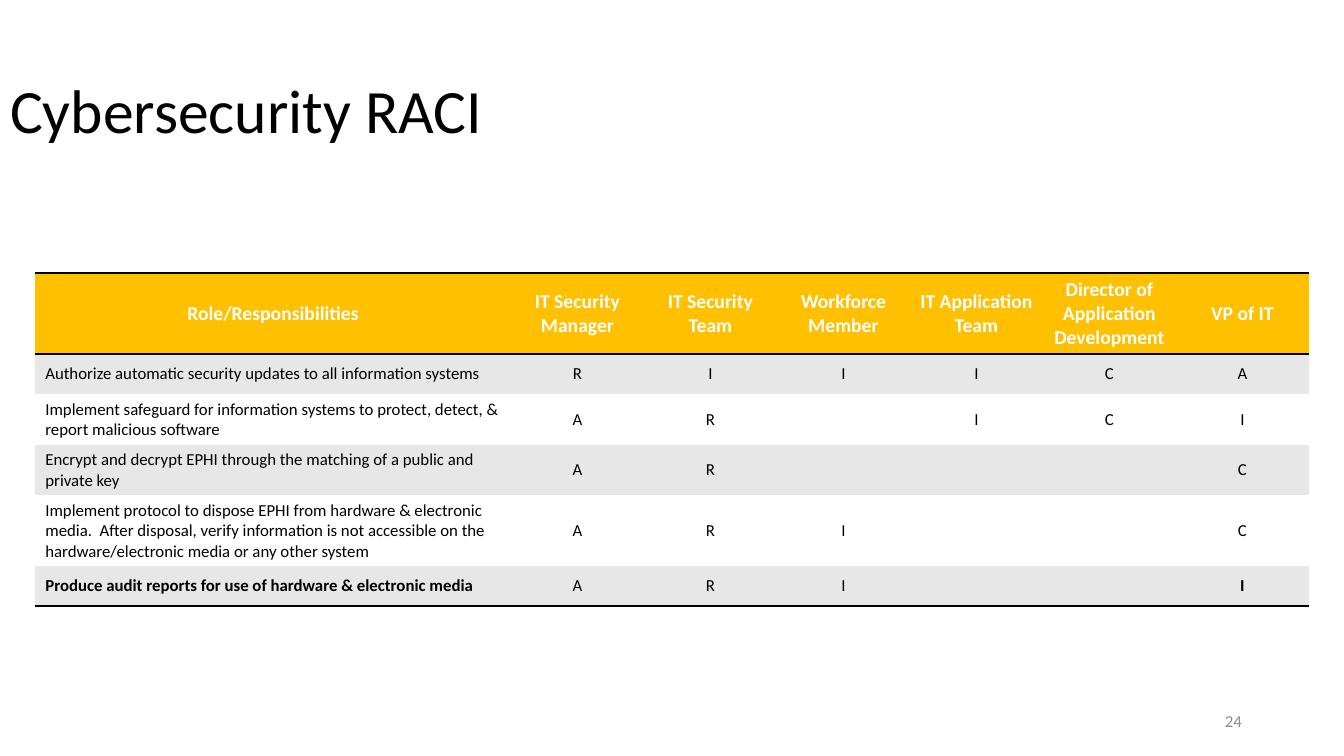
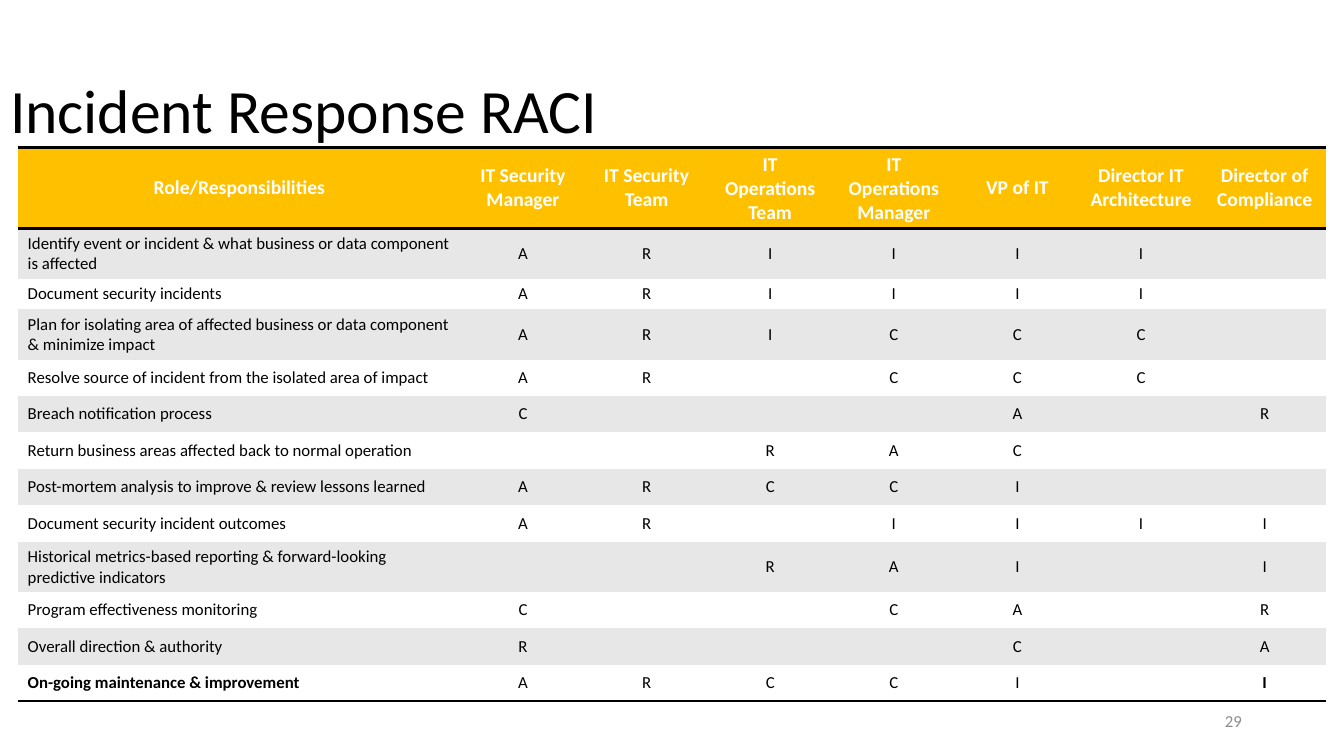
from dataclasses import dataclass

from lxml import etree
from pptx import Presentation
from pptx.dml.color import RGBColor
from pptx.enum import text as styles
from pptx.oxml import ns
from pptx.util import Pt


@dataclass(frozen=True)
class Theme:
    """Colours, type sizes and shared boxes of the deck."""
    font: str = "Calibri"
    ink: str = "000000"
    header_ink: str = "FFFFFF"
    header_fill: str = "FFC000"
    bands: tuple = ("E7E7E7", "FFFFFF")
    muted: str = "8C8C8C"
    title_size: int = 44
    header_size: int = 14
    body_size: int = 12
    rule_width: int = 2
    no_grid_style: str = "{2D5ABB26-0587-4C30-8999-92F81FD0307C}"
    page_size: tuple = (960, 540)
    title_box: tuple = (0, 28.8, 828, 104.4)
    number_box: tuple = (678.2, 500.4, 216, 28.8)


THEME = Theme()
ALIGN = styles.PP_ALIGN
MIDDLE = styles.MSO_ANCHOR.MIDDLE

CYBERSECURITY = {
    "title": "Cybersecurity RACI",
    "number": "24",
    "box": (25.2, 195.1),
    "widths": (339.8, 95),
    "header_height": 47.5,
    "roles": ["IT Security Manager", "IT Security Team", "Workforce Member",
              "IT Application Team", "Director of Application Development", "VP of IT"],
    "tasks": [
        ("Authorize automatic security updates to all information systems", "RIIICA", 28.8),
        ("Implement safeguard for information systems to protect, detect, & report malicious software",
         "AR.ICI", 28.8),
        ("Encrypt and decrypt EPHI through the matching of a public and private key", "AR...C", 28.8),
        ("Implement protocol to dispose EPHI from hardware & electronic media.  After disposal, verify "
         "information is not accessible on the hardware/electronic media or any other system",
         "ARI..C", 28.8),
        ("Produce audit reports for use of hardware & electronic media", "ARI..I", 28.8),
    ],
}

INCIDENT_RESPONSE = {
    "title": "Incident Response RACI",
    "number": "29",
    "box": (12.6, 105.5),
    "widths": (316.8, 88.3),
    "header_height": 54,
    "roles": ["IT Security Manager", "IT Security Team", "IT Operations Team",
              "IT Operations Manager", "VP of IT", "Director IT Architecture",
              "Director of Compliance"],
    "tasks": [
        ("Identify event or incident & what business or data component is affected", "ARIIII.", 34),
        ("Document security incidents", "ARIIII.", 21.6),
        ("Plan for isolating area of affected business or data component & minimize impact",
         "ARICCC.", 34),
        ("Resolve source of incident from the isolated area of impact", "AR.CCC.", 26),
        ("Breach notification process", "C...A.R", 26),
        ("Return business areas affected back to normal operation", "..RAC..", 26),
        ("Post-mortem analysis to improve & review lessons learned", "ARCCI..", 26),
        ("Document security incident outcomes", "AR.IIII", 26),
        ("Historical metrics-based reporting & forward-looking predictive indicators", "..RAI.I", 34),
        ("Program effectiveness monitoring", "C..CA.R", 26),
        ("Overall direction & authority", "R...C.A", 26),
        ("On-going maintenance & improvement", "ARCCI.I", 26),
    ],
}


def apply(target, values):
    """Set each named attribute of the target."""
    for name, value in values.items():
        setattr(target, name, value)


def write(frame, words, size, color, bold=False, **layout):
    """Write one formatted paragraph into a text frame."""
    para = frame.paragraphs[0]
    apply(para, layout)
    if not words:
        etree.SubElement(para._p, ns.qn("a:endParaRPr"), sz=str(size * 100))
        return
    span = para.add_run()
    span.text = words
    apply(span.font, {"name": THEME.font, "size": Pt(size), "bold": bold})
    span.font.color.rgb = RGBColor.from_string(color)


def add_title(page, box, words):
    """Place and fill the title placeholder."""
    title = page.shapes.title
    apply(title, dict(zip(("left", "top", "width", "height"), map(Pt, box))))
    apply(title.text_frame, {"vertical_anchor": MIDDLE, "word_wrap": True,
                             "auto_size": styles.MSO_AUTO_SIZE.NONE})
    write(title.text_frame, words, THEME.title_size, THEME.ink,
          alignment=ALIGN.LEFT, line_spacing=0.9)


def add_page_number(page, box, number):
    """Place the page number at the lower right."""
    frame = page.shapes.add_textbox(*map(Pt, box)).text_frame
    apply(frame, {"vertical_anchor": MIDDLE, "word_wrap": True})
    write(frame, number, THEME.body_size, THEME.muted,
          alignment=ALIGN.RIGHT, space_after=Pt(6))


def add_rule(cell, side):
    """Draw a solid rule on one side of a cell."""
    line = etree.SubElement(cell._tc.get_or_add_tcPr(), ns.qn("a:ln" + side),
                            w=str(Pt(THEME.rule_width)))
    fill = etree.SubElement(line, ns.qn("a:solidFill"))
    etree.SubElement(fill, ns.qn("a:srgbClr"), val=THEME.ink)


def fill_cell(cell, words, fill, rules, **style):
    """Format one table cell and write its text."""
    cell.vertical_anchor = MIDDLE
    for side in rules:
        add_rule(cell, side)
    cell.fill.solid()
    cell.fill.fore_color.rgb = RGBColor.from_string(fill)
    write(cell.text_frame, words, **style)


def add_raci_table(page, box, matrix):
    """Build the responsibility matrix from the given corner."""
    roles, tasks = matrix["roles"], matrix["tasks"]
    task_width, role_width = matrix["widths"]
    widths = [task_width] + [role_width] * len(roles)
    heights = [matrix["header_height"]] + [height for _, _, height in tasks]
    size = (sum(widths), sum(heights))
    table = page.shapes.add_table(len(heights), len(widths), *map(Pt, (*box, *size))).table
    table._tbl.tblPr.find(ns.qn("a:tableStyleId")).text = THEME.no_grid_style
    apply(table, {"first_row": False, "horz_banding": False})
    for column, width in zip(table.columns, widths):
        column.width = Pt(width)
    for row, height in zip(table.rows, heights):
        row.height = Pt(height)
    for column, words in enumerate(["Role/Responsibilities"] + roles):
        fill_cell(table.cell(0, column), words, THEME.header_fill, "TB",
                  size=THEME.header_size, color=THEME.header_ink, bold=True,
                  alignment=ALIGN.CENTER)
    for row, (task, codes, _) in enumerate(tasks, 1):
        is_last = row == len(tasks)
        for column, words in enumerate([task, *codes.replace(".", " ")]):
            fill_cell(table.cell(row, column), words.strip(),
                      THEME.bands[(row - 1) % 2], "B" if is_last else "",
                      size=THEME.body_size, color=THEME.ink,
                      bold=is_last and column in (0, len(roles)),
                      alignment=ALIGN.CENTER if column else ALIGN.LEFT)


def add_raci_page(deck, matrix):
    """Add a slide with a title, a matrix and a page number."""
    page = deck.slides.add_slide(deck.slide_layouts.get_by_name("Title Only"))
    add_page_number(page, THEME.number_box, matrix["number"])
    add_title(page, THEME.title_box, matrix["title"])
    add_raci_table(page, matrix["box"], matrix)


def main():
    """Build and save the deck."""
    deck = Presentation()
    deck.slide_width, deck.slide_height = map(Pt, THEME.page_size)
    for matrix in (CYBERSECURITY, INCIDENT_RESPONSE):
        add_raci_page(deck, matrix)
    deck.save("out.pptx")


if __name__ == "__main__":
    main()
